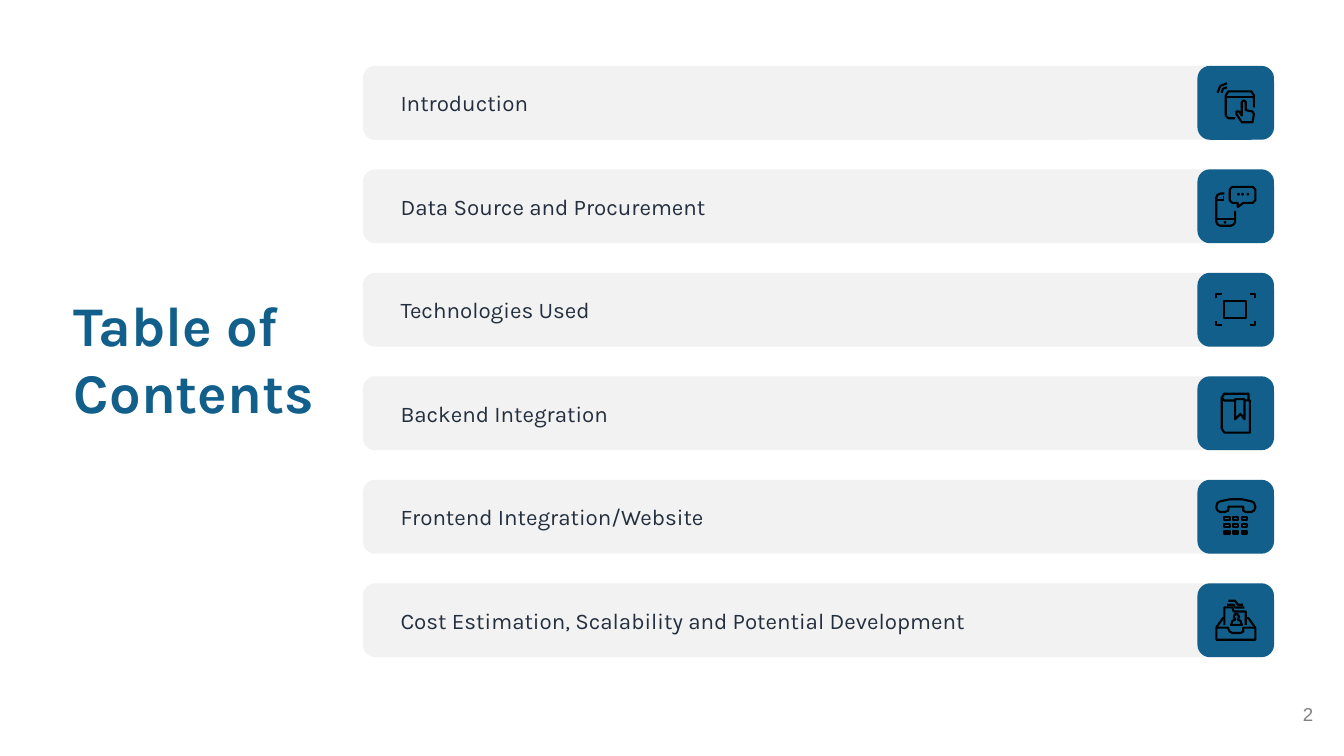
from pptx import Presentation
from pptx.dml.color import RGBColor
from pptx.enum.shapes import MSO_CONNECTOR, MSO_SHAPE
from pptx.enum.text import MSO_ANCHOR, MSO_AUTO_SIZE, PP_ALIGN
from pptx.oxml.ns import qn
from pptx.util import Inches, Pt
from lxml import etree

STRAIGHT = MSO_CONNECTOR.STRAIGHT
ROUNDED, RECT, OVAL = (MSO_SHAPE.ROUNDED_RECTANGLE, MSO_SHAPE.RECTANGLE,
                       MSO_SHAPE.OVAL)
TOP, MIDDLE = MSO_ANCHOR.TOP, MSO_ANCHOR.MIDDLE
LEFT, RIGHT = PP_ALIGN.LEFT, PP_ALIGN.RIGHT

COLORS = {"accent": "115F8A", "bar": "F2F2F2", "text": "232F3E",
          "icon": "000000", "number": "818181"}

# Icons in hundredths of an inch from the tile corner:
# "lines" are open, "loops" closed, "boxes" and "dots" are x, y, w, h
TAP = {
    "lines": [
        [(42, 31), (42, 22), (40, 19), (23, 19), (21, 22), (21, 37), (23, 39),
         (28, 39)],
        [(21, 23), (42, 23)],
        [(18, 20), (19, 17), (22, 16)],
        [(15, 20), (17, 15), (22, 13)]],
    "loops": [
        [(33, 27), (34, 26), (35, 26), (36, 27), (36, 33), (41, 34), (42, 36),
         (41, 42), (33, 42), (29, 36), (29, 34), (31, 34), (33, 37)]],
}
CHAT = {
    "lines": [
        [(28, 31), (28, 39), (27, 41), (25, 42), (17, 42), (15, 41), (14, 39),
         (14, 21), (15, 19), (17, 18), (20, 18)],
        [(20, 23), (14, 23)], [(28, 37), (14, 37)], [(19, 21), (20, 21)]],
    "loops": [
        [(43, 23), (41, 25), (34, 25), (30, 28), (30, 25), (26, 25), (24, 23),
         (24, 15), (26, 13), (41, 13), (43, 15)]],
    "dots": [(x, 18, 1, 1) for x in (30, 33, 37)] + [(20, 39, 1, 1)],
}
SCAN = {
    "lines": [[(x, y + dy), (x, y), (x + dx, y)]
              for x, dx in ((14, 4), (43, -4)) for y, dy in ((16, 3), (39, -3))],
    "boxes": [(20, 21, 16, 13)],
}
BOOK = {
    "lines": [
        [(35, 18), (39, 18), (39, 42), (20, 42), (18, 39), (18, 16)],
        [(38, 18), (38, 13), (20, 13), (18, 16), (20, 18), (28, 18)]],
    "loops": [[(35, 32), (32, 28), (28, 32), (28, 17), (35, 17)]],
}
PHONE = {
    "loops": [
        [(40, 16), (42, 17), (43, 20), (43, 21), (42, 23), (40, 24), (36, 24),
         (34, 23), (34, 20), (23, 20), (23, 23), (20, 24), (17, 24), (15, 23),
         (14, 21), (14, 20), (15, 17), (17, 16), (24, 14.5), (33, 14.5)]],
    "boxes": [(x, y, 4, 2) for y in (28, 33, 38) for x in (20, 26.5, 33)],
}
TRAY = {
    "lines": [
        [(36, 31), (36, 21), (27, 21), (26, 18), (20, 18), (20, 31)],
        [(35, 18), (28, 18), (27, 16), (22, 16)],
        [(34, 16), (30, 16), (28, 13), (23, 13)],
        [(14, 33), (19, 26), (20, 26)], [(36, 26), (38, 26), (43, 33)]],
    "loops": [
        [(43, 42), (14, 42), (14, 33), (23, 33), (23, 34), (24, 36), (26, 37),
         (32, 37), (34, 36), (34, 33), (43, 33)],
        [(30, 27), (31, 25), (30, 23), (28, 23), (27, 25), (28, 27), (26, 28),
         (25, 31), (33, 31), (32, 28)]],
}

ENTRIES = [
    ("Introduction", TAP),
    ("Data Source and Procurement", CHAT),
    ("Technologies Used", SCAN),
    ("Backend Integration", BOOK),
    ("Frontend Integration/Website", PHONE),
    ("Cost Estimation, Scalability and Potential Development", TRAY),
]


def rgb(name):
    return RGBColor.from_string(COLORS[name])


def write(sp, text, size, color, font="Karla", bold=False, align=LEFT,
          anchor=MIDDLE, margins=(0, 0.04, 0, 0.04)):
    tf = sp.text_frame
    tf.text = text
    tf.word_wrap = True
    tf.auto_size = MSO_AUTO_SIZE.NONE
    tf.vertical_anchor = anchor
    (tf.margin_left, tf.margin_top,
     tf.margin_right, tf.margin_bottom) = map(Inches, margins)
    p = tf.paragraphs[0]
    p.alignment = align
    f = p.runs[0].font
    f.name, f.size, f.bold = font, Pt(size), bold
    f.color.rgb = rgb(color)


def add_panel(s, x, y, w, h, color):
    sp = s.shapes.add_shape(ROUNDED, Inches(x), Inches(y), Inches(w), Inches(h))
    sp.adjustments[0] = 0.17
    sp.shadow.inherit = False
    sp.fill.solid()
    sp.fill.fore_color.rgb = rgb(color)
    sp.line.fill.background()


def stroke(sp, width=1.12):
    sp.line.color.rgb = rgb("icon")
    sp.line.width = Pt(width)


def add_outline(s, points, closed):
    if len(points) == 2:
        sp = s.shapes.add_connector(STRAIGHT, *points[0], *points[1])
        etree.SubElement(sp._element.spPr, qn("a:effectLst"))
    else:
        fb = s.shapes.build_freeform(*points[0])
        fb.add_line_segments(points[1:], close=closed)
        sp = fb.convert_to_shape()
        sp.shadow.inherit = False
        sp.fill.background()
    stroke(sp)


def add_icon(s, x, y, icon):
    def at(px, py):
        return Inches(x + px / 100), Inches(y + py / 100)

    for key in ("lines", "loops"):
        for points in icon.get(key, []):
            add_outline(s, [at(*pt) for pt in points], key == "loops")
    for key, kind in (("boxes", RECT), ("dots", OVAL)):
        for px, py, w, h in icon.get(key, []):
            sp = s.shapes.add_shape(kind, *at(px, py),
                                    Inches(w / 100), Inches(h / 100))
            sp.shadow.inherit = False
            if key == "dots":
                sp.fill.solid()
                sp.fill.fore_color.rgb = rgb("icon")
                stroke(sp, 0.75)
            else:
                sp.fill.background()
                stroke(sp)


def add_entry(s, x, y, w, h, text, icon):
    tile_w = 0.57
    tile_x = x + w - tile_w
    add_panel(s, x, y, w, h, "bar")
    add_panel(s, tile_x, y, tile_w, h, "accent")
    sp = s.shapes.add_textbox(Inches(x + 0.28), Inches(y + 0.08),
                              Inches(4.42), Inches(h - 0.16))
    write(sp, text, 12, "text")
    add_icon(s, tile_x, y, icon)


def add_contents(s, x, y, w, pitch, entries):
    for i, (text, icon) in enumerate(entries):
        add_entry(s, x, y + i * pitch, w, 0.55, text, icon)


def add_title(s, x, y, w, h):
    sp = s.shapes.title
    sp.left, sp.top, sp.width, sp.height = map(Inches, (x, y, w, h))
    write(sp, "Table of Contents", 30, "accent", bold=True, anchor=TOP,
          margins=(0, 0.04, 0.07, 0.04))


def add_number(s, x, y, w, h):
    sp = s.shapes.add_textbox(Inches(x), Inches(y), Inches(w), Inches(h))
    write(sp, "2", 10, "number", font="Arial", align=RIGHT, margins=[0.1] * 4)


def main():
    prs = Presentation()
    prs.slide_width = Inches(10)
    prs.slide_height = prs.slide_width * 9 // 16
    s = prs.slides.add_slide(prs.slide_layouts[5])
    add_title(s, 0.55, 2.12, 1.94, 1.1)
    add_contents(s, 2.7, 0.49, 6.78, 0.77, ENTRIES)
    add_number(s, 9.27, 5.1, 0.6, 0.43)
    prs.save("out.pptx")


if __name__ == "__main__":
    main()
